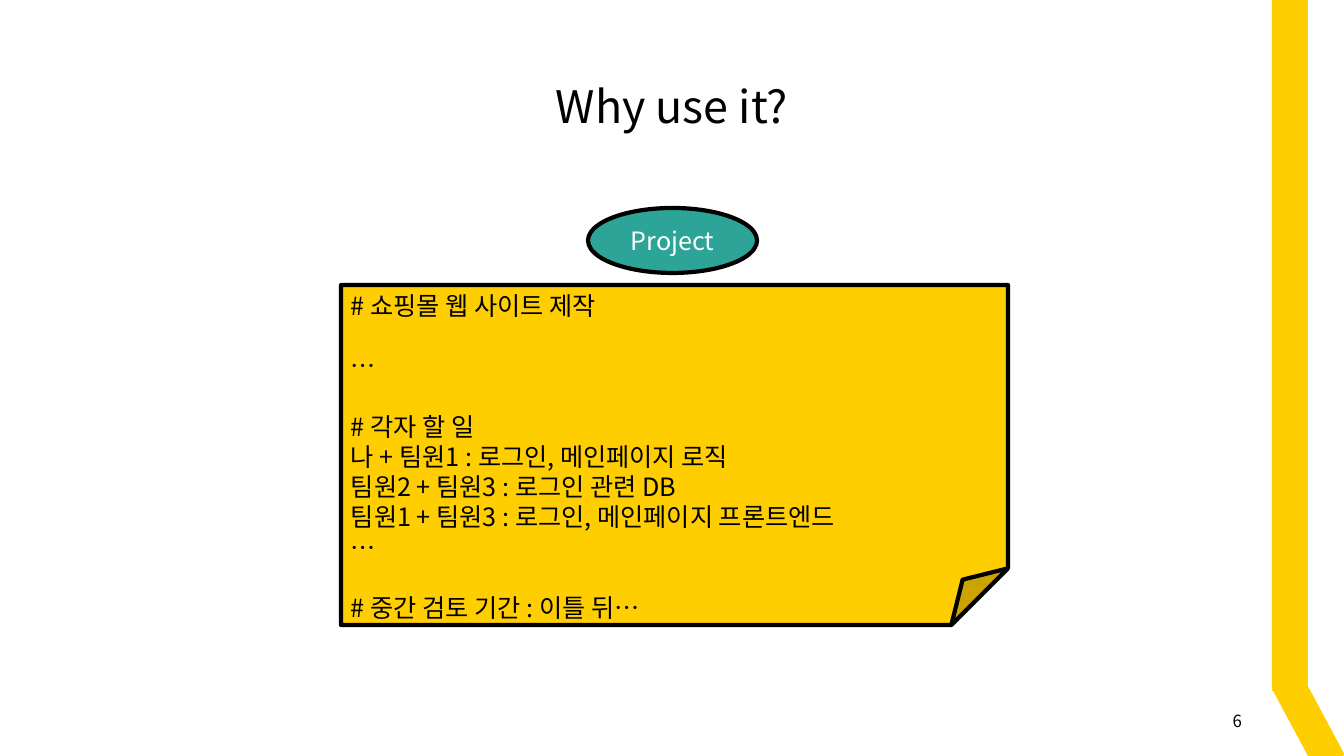
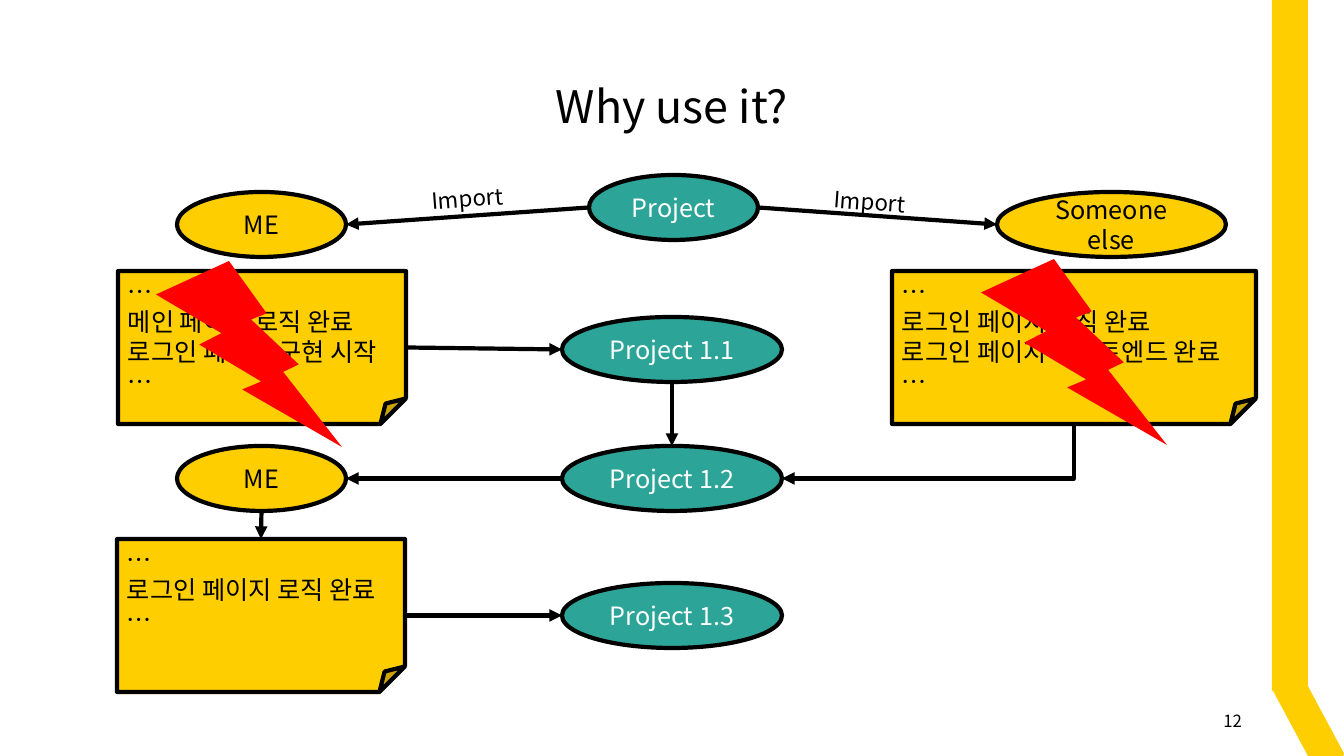
from lxml import etree
from pptx import Presentation
from pptx.dml.color import RGBColor
from pptx.enum.shapes import MSO_AUTO_SHAPE_TYPE as Preset, MSO_CONNECTOR as Connector
from pptx.enum.text import MSO_ANCHOR as Anchor, MSO_AUTO_SIZE as AutoSize, PP_ALIGN as Align
from pptx.oxml.ns import qn
from pptx.util import Emu, Pt

SLIDE_WIDTH, SLIDE_HEIGHT = 1344, 756
EMU_PER_PX = 12192000 / SLIDE_WIDTH
FONT = "Noto Sans CJK KR"
LINE_HEIGHT = 1.2
COLORS = {
    "yellow": "FFCE01",
    "teal": "2DA498",
    "red": "FF0000",
    "black": "000000",
    "white": "FFFFFF",
}
# Connection sites on a rectangular outline, with their relative positions
SIDES = {
    "top": (0, 0.5, 0),
    "left": (1, 0, 0.5),
    "bottom": (2, 0.5, 1),
    "right": (3, 1, 0.5),
}
OVAL_HEIGHT = 65
NOTE_HEIGHT = 153


def px(length):
    return Emu(round(length * EMU_PER_PX))


def color(name):
    return RGBColor.from_string(COLORS[name])


def set_attributes(target, values):
    for name, value in values.items():
        setattr(target, name, value)


def write_text(shape, lines, size=18, ink="black", align=Align.LEFT, **frame_format):
    """Write one paragraph per line; None leaves a line's height above the next."""
    frame = shape.text_frame
    set_attributes(frame, {"word_wrap": True, "auto_size": AutoSize.NONE,
                           "vertical_anchor": Anchor.TOP} | frame_format)
    line_height = Pt(size * LINE_HEIGHT)
    paragraph, gap = frame.paragraphs[0], Pt(0)
    for line in lines:
        if line is None:
            gap = line_height
            continue
        if paragraph.runs:
            paragraph = frame.add_paragraph()
        set_attributes(paragraph, {"alignment": align, "line_spacing": line_height,
                                   "space_before": gap, "space_after": Pt(0)})
        run = paragraph.add_run()
        run.text = line
        set_attributes(run.font, {"name": FONT, "size": Pt(size)})
        run.font.color.rgb = color(ink)
        east_asian = etree.SubElement(run.font._element, qn("a:ea"))
        east_asian.set("typeface", FONT)
        gap = Pt(0)


def add_block(slide, preset, box, fill, outlined=False):
    shape = slide.shapes.add_shape(preset, *map(px, box))
    shape.shadow.inherit = False
    shape.fill.solid()
    shape.fill.fore_color.rgb = color(fill)
    if outlined:
        shape.line.color.rgb = color("black")
        shape.line.width = Pt(3)
    else:
        shape.line.fill.background()
    return shape


def add_oval(slide, left, top, width, text, fill="teal", ink="white"):
    oval = add_block(slide, Preset.OVAL, (left, top, width, OVAL_HEIGHT), fill, True)
    write_text(oval, [text], ink=ink, align=Align.CENTER, vertical_anchor=Anchor.MIDDLE)
    return oval


def add_note(slide, left, top, width, lines, height=NOTE_HEIGHT):
    note = add_block(slide, Preset.FOLDED_CORNER, (left, top, width, height), "yellow", True)
    write_text(note, lines)
    return note


def add_label(slide, box, text, rotation=0, **text_format):
    label = slide.shapes.add_textbox(*map(px, box))
    label.rotation = rotation
    write_text(label, [text], **text_format)


def side_point(shape, side):
    _, across, down = SIDES[side]
    return (Emu(round(shape.left + across * shape.width)),
            Emu(round(shape.top + down * shape.height)))


def style_arrow(arrow):
    arrow.line.color.rgb = color("black")
    arrow.line.width = Pt(3)
    head = etree.SubElement(arrow.line._get_or_add_ln(), qn("a:tailEnd"))
    head.set("type", "triangle")
    etree.SubElement(arrow._element.spPr, qn("a:effectLst"))


def add_arrow(slide, start, start_side, end, end_side):
    """Draw a straight arrow between two sides, joined where the shape is a note."""
    arrow = slide.shapes.add_connector(
        Connector.STRAIGHT, *side_point(start, start_side), *side_point(end, end_side))
    joints = ((arrow.begin_connect, start, start_side), (arrow.end_connect, end, end_side))
    for connect, shape, side in joints:
        if shape.auto_shape_type == Preset.FOLDED_CORNER:
            connect(shape, SIDES[side][0])
    style_arrow(arrow)


def add_down_left_arrow(slide, start, end):
    """Draw an arrow with one bend from start's bottom to end's right side."""
    start_x, start_y = side_point(start, "bottom")
    end_x, end_y = side_point(end, "right")
    width, height = end_y - start_y, start_x - end_x
    left = (start_x + end_x - width) // 2
    top = (start_y + end_y - height) // 2
    arrow = slide.shapes.add_connector(Connector.ELBOW, left, top, left + width, top + height)
    properties = arrow._element.spPr
    properties.find(qn("a:xfrm")).set("rot", "5400000")
    properties.find(qn("a:prstGeom")).set("prst", "bentConnector2")
    style_arrow(arrow)


def add_bands(slide):
    """Put the yellow ribbon on the layout that the slides share."""
    upright = add_block(slide, Preset.RECTANGLE, (1272, 0, 36, 691), "yellow")
    slanted = add_block(slide, Preset.RECTANGLE, (1292, 676, 33, 92), "yellow")
    slanted.rotation = 331.8
    for band in (upright, slanted):
        slide.slide_layout.shapes.element.append(band.element)


def add_slide(presentation, title, number):
    slide = presentation.slides.add_slide(presentation.slide_layouts[5])
    placeholder = slide.shapes.title
    box = map(px, (526, 74, 292, 65))
    set_attributes(placeholder, dict(zip(("left", "top", "width", "height"), box)))
    write_text(placeholder, [title], size=32, align=Align.CENTER, word_wrap=False)
    add_label(slide, (950, 701, 302, 40), number, size=12, align=Align.RIGHT,
              vertical_anchor=Anchor.MIDDLE)
    return slide


def build_plan(slide):
    add_oval(slide, 588, 208, 169, "Project")
    add_note(slide, 341, 285, 667, [
        "# 쇼핑몰 웹 사이트 제작", None,
        "…", None,
        "# 각자 할 일",
        "나 + 팀원1 : 로그인, 메인페이지 로직",
        "팀원2 + 팀원3 : 로그인 관련 DB",
        "팀원1 + 팀원3 : 로그인, 메인페이지 프론트엔드",
        "…", None,
        "# 중간 검토 기간 : 이틀 뒤…",
    ], height=340)


def build_version_flow(slide):
    person = {"fill": "yellow", "ink": "black"}
    me = add_oval(slide, 177, 192, 169, "ME", **person)
    someone = add_oval(slide, 997, 192, 229, "Someone else", **person)
    me_again = add_oval(slide, 177, 446, 169, "ME", **person)
    project = add_oval(slide, 589, 175, 169, "Project")
    first, second, third = (
        add_oval(slide, 562, top, 220, f"Project 1.{version}")
        for version, top in enumerate((317, 446, 583), start=1))

    my_note = add_note(slide, 118, 271, 288, [
        "…", "메인 페이지 로직 완료", "로그인 페이지 구현 시작", "…"])
    their_note = add_note(slide, 892, 271, 364, [
        "…", "로그인 페이지 로직 완료", "로그인 페이지 프론트엔드 완료", "…"])
    my_next_note = add_note(slide, 117, 539, 288, ["…", "로그인 페이지 로직 완료", "…"])

    for start, start_side, end, end_side in (
        (project, "left", me, "right"),
        (project, "right", someone, "left"),
        (my_note, "right", first, "left"),
        (first, "bottom", second, "top"),
        (second, "left", me_again, "right"),
        (me_again, "bottom", my_next_note, "top"),
        (my_next_note, "right", third, "left"),
    ):
        add_arrow(slide, start, start_side, end, end_side)
    add_down_left_arrow(slide, their_note, second)

    for left, top, rotation in ((418, 180, -4.3), (820, 183, 4.2)):
        add_label(slide, (left, top, 99, 37), "Import", rotation, size=16,
                  align=Align.CENTER, word_wrap=False)
    for left, top in ((981, 259), (156, 261)):
        add_block(slide, Preset.LIGHTNING_BOLT, (left, top, 186, 186), "red")


def main():
    presentation = Presentation()
    presentation.slide_width = px(SLIDE_WIDTH)
    presentation.slide_height = px(SLIDE_HEIGHT)
    plan = add_slide(presentation, "Why use it?", "6")
    add_bands(plan)
    build_plan(plan)
    build_version_flow(add_slide(presentation, "Why use it?", "12"))
    presentation.save("out.pptx")


if __name__ == "__main__":
    main()
